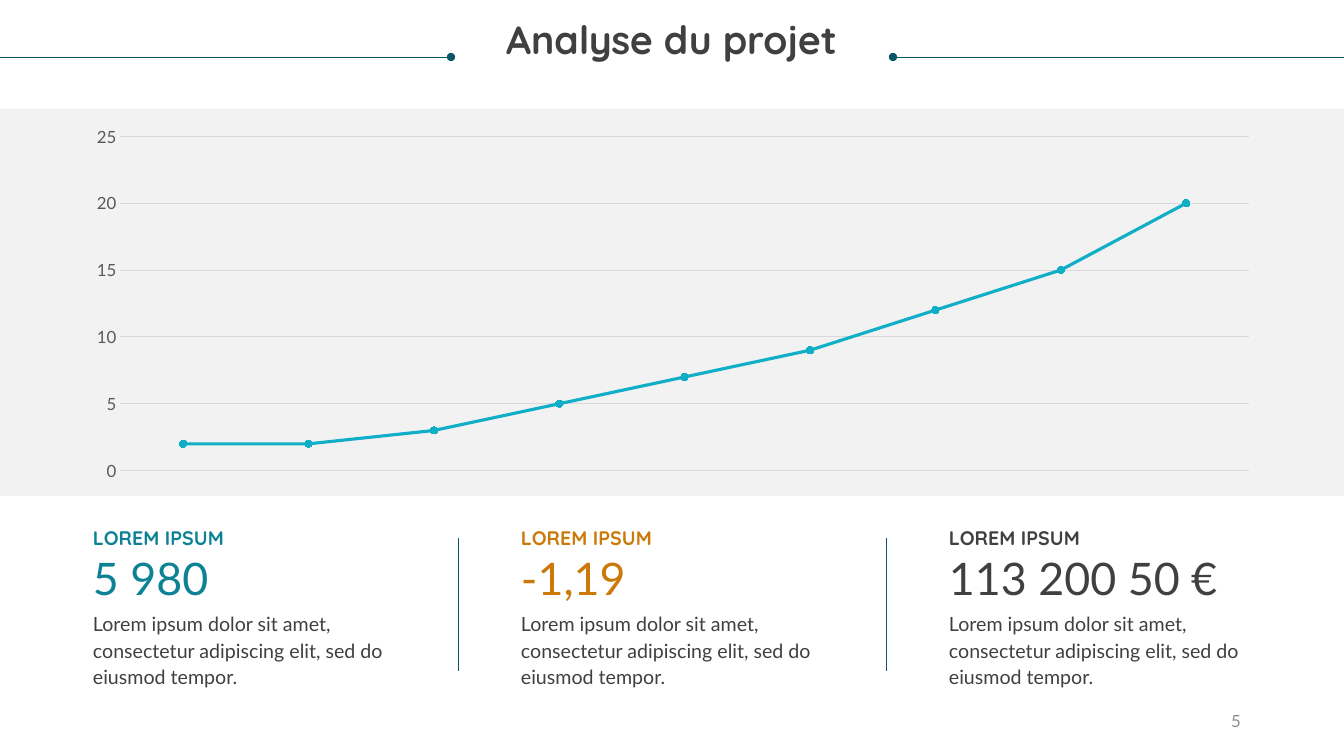
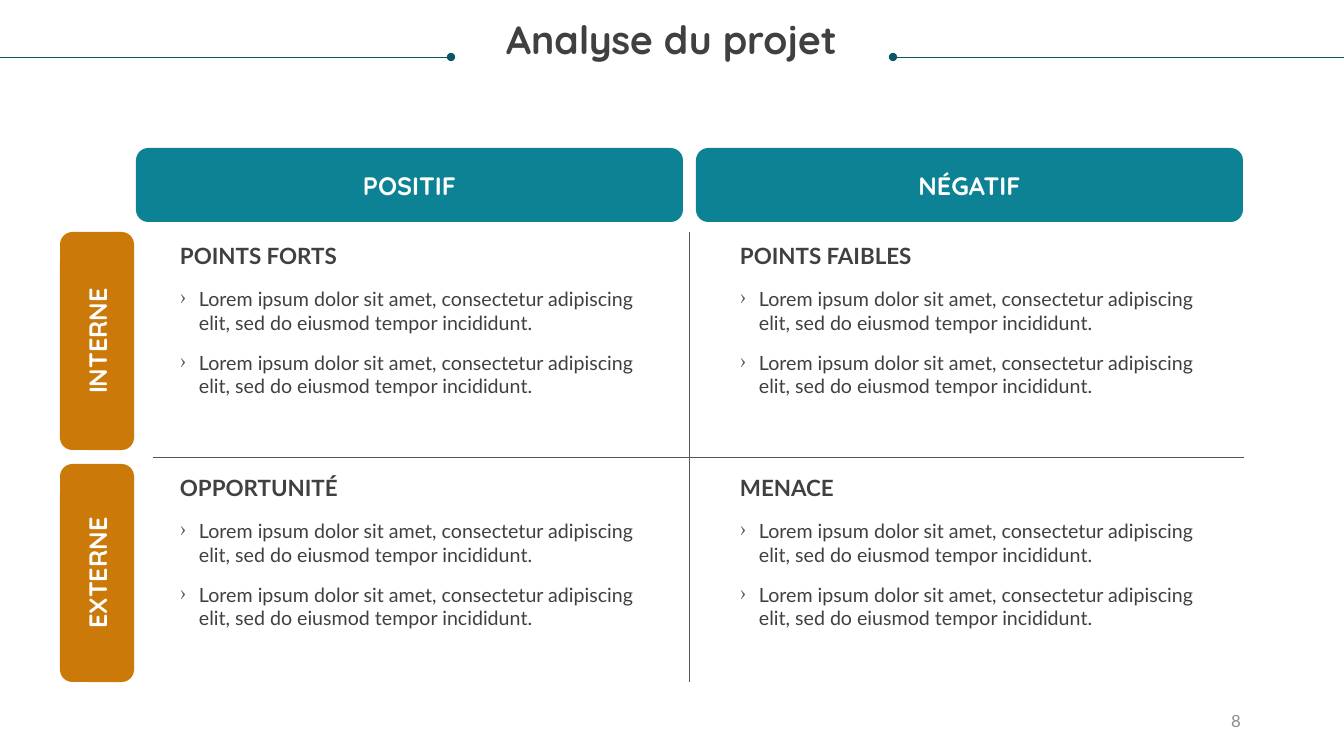
from dataclasses import dataclass

from lxml.etree import SubElement
from pptx import Presentation
from pptx.chart.data import CategoryChartData as ChartData
from pptx.dml.color import RGBColor as Rgb
from pptx.enum.chart import XL_CHART_TYPE as Kind
from pptx.enum.chart import XL_MARKER_STYLE as Mark
from pptx.enum.chart import XL_TICK_MARK as Tick
from pptx.enum.shapes import MSO_CONNECTOR as Wire
from pptx.enum.shapes import MSO_SHAPE as Form
from pptx.enum.text import MSO_ANCHOR as Anchor
from pptx.enum.text import PP_ALIGN as Align
from pptx.oxml.ns import qn
from pptx.util import Emu, Pt

WIDE, HIGH = 1344, 756
SCALE = 12192000 / WIDE


@dataclass(frozen=True)
class Theme:
    ink: str = "404040"
    white: str = "FFFFFF"
    teal: str = "0D8295"
    deep: str = "085764"
    bright: str = "11AEC7"
    amber: str = "CB7A09"
    band: str = "F2F2F2"
    rule: str = "585858"
    axis: str = "595959"
    grid: str = "D9D9D9"
    page: str = "8C8C8C"
    title: tuple = ("Quicksand", 28, True)
    tab: tuple = ("Quicksand", 18, True)
    label: tuple = ("Quicksand", 14, True)
    figure: tuple = ("Lato", 32, False)
    head: tuple = ("Lato", 16, True)
    body: tuple = ("Lato", 14, False)
    small: tuple = ("Lato", 12, False)
    tiny: tuple = ("Lato", 10, False)


def px(size):
    return Emu(round(size * SCALE))


def frame(*sizes):
    return [px(size) for size in sizes]


def dye(font, style, color):
    font.name, size, font.bold = style
    font.size = Pt(size)
    font.color.rgb = Rgb.from_string(color)


def stroke(line, color, width):
    line.color.rgb = Rgb.from_string(color)
    line.width = Pt(width)


def paint(fill, color):
    fill.solid()
    fill.fore_color.rgb = Rgb.from_string(color)


class Deck:
    """Builds slides in one shared style."""

    def __init__(self, theme):
        self.theme = theme
        self.file = Presentation()
        self.file.slide_width, self.file.slide_height = frame(WIDE, HIGH)
        self.shapes = None

    def start(self, title, page):
        theme = self.theme
        self.shapes = self.file.slides.add_slide(self.file.slide_layouts[6]).shapes
        self.line(0, 57, 451, 57, theme.deep, "tailEnd")
        self.line(893, 57, WIDE, 57, theme.deep, "headEnd")
        self.text((25, 21, 1293, 86), [title], theme.title, theme.ink,
                  align=Align.CENTER, space=0.9)
        self.text((949, 701, 302, 40), [page], theme.small, theme.page,
                  align=Align.RIGHT, anchor=Anchor.MIDDLE, pad=10)

    def text(self, box, lines, style, color, align=Align.LEFT,
             anchor=Anchor.TOP, space=None, pad=0, mark=None):
        area = self.shapes.add_textbox(*frame(*box)).text_frame
        area.word_wrap = True
        area.vertical_anchor = anchor
        area.margin_left = area.margin_right = px(pad)
        area.margin_top = area.margin_bottom = 0
        area.text = "\n".join(lines)
        for rank, para in enumerate(area.paragraphs):
            para.alignment = align
            if space:
                para.line_spacing = space
            if mark:
                self.bullet(para, mark)
            if rank:
                para.space_before = Pt(12)
            dye(para.runs[0].font, style, color)

    def bullet(self, para, mark):
        props = para._p.get_or_add_pPr()
        props.set("marL", str(px(19)))
        props.set("indent", str(-px(19)))
        tint = SubElement(props, qn("a:buClr"))
        SubElement(tint, qn("a:srgbClr")).set("val", self.theme.rule)
        SubElement(props, qn("a:buChar")).set("char", mark)

    def shape(self, box, color, form=Form.RECTANGLE):
        shape = self.shapes.add_shape(form, *frame(*box))
        shape.shadow.inherit = False
        paint(shape.fill, color)
        shape.line.fill.background()
        return shape

    def tab(self, box, word, color, turn=0):
        shape = self.shape(box, color, Form.ROUNDED_RECTANGLE)
        shape.rotation = turn
        area = shape.text_frame
        area.text = word
        area.vertical_anchor = Anchor.MIDDLE
        para = area.paragraphs[0]
        para.alignment = Align.CENTER
        dye(para.runs[0].font, self.theme.tab, self.theme.white)

    def line(self, left, top, right, low, color, dot=None):
        wire = self.shapes.add_connector(Wire.STRAIGHT, *frame(left, top, right, low))
        stroke(wire.line, color, 0.5)
        props = wire.element.spPr
        if dot:
            SubElement(props.find(qn("a:ln")), qn("a:" + dot)).set("type", "oval")
        SubElement(props, qn("a:effectLst"))

    def chart(self, box, name, values):
        theme = self.theme
        data = ChartData()
        data.categories = [str(rank + 1) for rank in range(len(values))]
        data.add_series(name, values)
        chart = self.shapes.add_chart(Kind.LINE_MARKERS, *frame(*box), data).chart
        chart.has_legend = chart.has_title = False
        dye(chart.font, theme.tiny, "000000")
        chart.category_axis.visible = False
        axis = chart.value_axis
        axis.minimum_scale, axis.maximum_scale, axis.major_unit = 0, 25, 5
        axis.major_tick_mark = axis.minor_tick_mark = Tick.NONE
        axis.format.line.fill.background()
        stroke(axis.major_gridlines.format.line, theme.grid, 0.75)
        dye(axis.tick_labels.font, theme.small, theme.axis)
        plot = chart.plots[0]
        plot.vary_by_categories = False
        curve = plot.series[0]
        curve.smooth = False
        stroke(curve.format.line, theme.bright, 2.25)
        curve.marker.style, curve.marker.size = Mark.CIRCLE, 5
        paint(curve.marker.format.fill, theme.bright)
        stroke(curve.marker.format.line, theme.bright, 0.75)

    def card(self, left, figure, color):
        theme = self.theme
        self.text((left, 523, 302, 27), ["LOREM IPSUM"], theme.label, color, space=Pt(19))
        self.text((left, 551, 302, 54), [figure], theme.figure, color)
        self.text((left, 609, 302, 81),
                  ["Lorem ipsum dolor sit amet, consectetur adipiscing elit, sed do eiusmod tempor."],
                  theme.body, theme.ink, space=Pt(19))

    def cell(self, left, top, head):
        theme = self.theme
        self.text((left, top, 459, 27), [head], theme.head, theme.ink)
        point = ("Lorem ipsum dolor sit amet, consectetur adipiscing elit, "
                 "sed do eiusmod tempor incididunt.")
        self.text((left, top + 45, 459, 112), [point] * 2, theme.body, theme.ink, mark="›")


def trend(deck):
    theme = deck.theme
    deck.start("Analyse du projet", "5")
    deck.shape((0, 109, WIDE, 387), theme.band)
    deck.chart((73, 119, 1200, 369), "Series 1", [2, 2, 3, 5, 7, 9, 12, 15, 20])
    cards = [("5 980", theme.teal), ("-1,19", theme.amber), ("113 200 50 €", theme.ink)]
    step = 428
    for rank, (figure, color) in enumerate(cards):
        deck.card(93 + rank * step, figure, color)
        if rank:
            split = 30 + rank * step
            deck.line(split, 538, split, 671, theme.deep)


def matrix(deck):
    theme = deck.theme
    deck.start("Analyse du projet", "8")
    across, down = 560, 232
    for col, word in enumerate(["POSITIF", "NÉGATIF"]):
        deck.tab((136 + col * across, 148, 547, 74), word, theme.teal)
    for row, word in enumerate(["INTERNE", "EXTERNE"]):
        deck.tab((-12, 304 + row * down, 218, 74), word, theme.amber, 270)
    deck.line(153, 457, 1244, 457, theme.rule)
    deck.line(689, 232, 689, 682, theme.rule)
    heads = [["POINTS FORTS", "POINTS FAIBLES"], ["OPPORTUNITÉ", "MENACE"]]
    for row, words in enumerate(heads):
        for col, head in enumerate(words):
            deck.cell(180 + col * across, 242 + row * down, head)


def main():
    deck = Deck(Theme())
    trend(deck)
    matrix(deck)
    deck.file.save("out.pptx")


if __name__ == "__main__":
    main()
